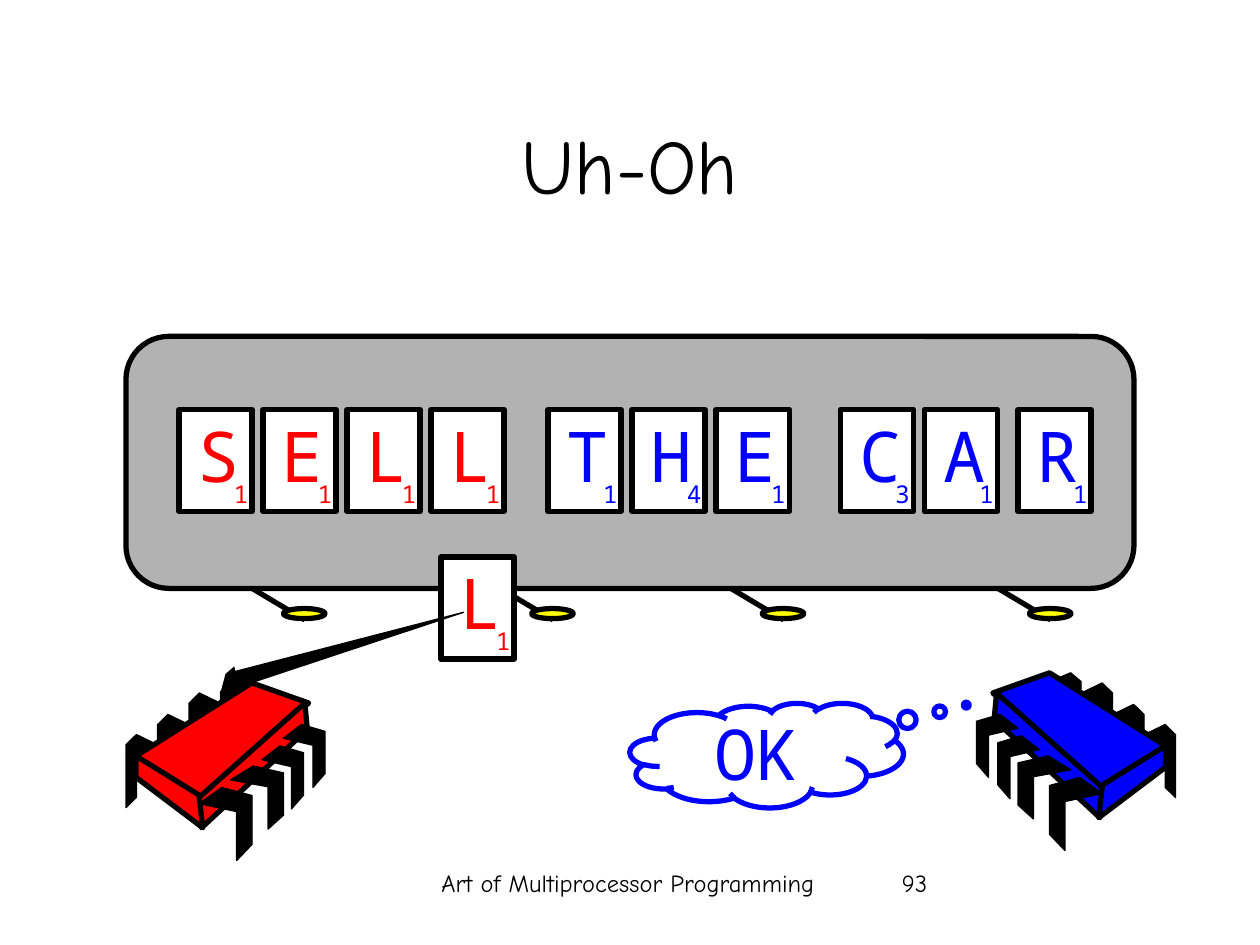
from dataclasses import dataclass

from pptx import Presentation
from pptx.dml.color import RGBColor
from pptx.enum.shapes import MSO_CONNECTOR, MSO_SHAPE
from pptx.enum.text import MSO_ANCHOR, PP_ALIGN
from pptx.oxml.ns import qn
from pptx.util import Inches, Pt
from lxml import etree

STRAIGHT = MSO_CONNECTOR.STRAIGHT
RECTANGLE, ROUNDED = MSO_SHAPE.RECTANGLE, MSO_SHAPE.ROUNDED_RECTANGLE
OVAL, CLOUD = MSO_SHAPE.OVAL, MSO_SHAPE.CLOUD_CALLOUT
LEFT, CENTER, RIGHT = PP_ALIGN.LEFT, PP_ALIGN.CENTER, PP_ALIGN.RIGHT
TOP, MIDDLE = MSO_ANCHOR.TOP, MSO_ANCHOR.MIDDLE

BLACK, WHITE = RGBColor(0, 0, 0), RGBColor(255, 255, 255)
RED, BLUE = RGBColor(255, 0, 0), RGBColor(0, 0, 255)
YELLOW, GRAY = RGBColor(255, 255, 0), RGBColor(0xB2, 0xB2, 0xB2)

HAND_FONT, TILE_FONT = "Comic Neue", "Noto Sans Mono"
THICK, THIN = 3, 0.75
TILE_STEP = 2 / 3
SCORES = {"H": 4, "C": 3}

Point = tuple[float, float]


@dataclass
class Word:
    letters: str
    left: float
    top: float
    color: RGBColor


@dataclass
class Leg:
    left: float
    top: float
    width: float
    height: float


@dataclass
class Chip:
    color: RGBColor
    mirrored: bool


WORDS = [
    Word("CA", 6.67, 3.25, BLUE),
    Word("R", 8.08, 3.25, BLUE),
    Word("THE", 4.35, 3.25, BLUE),
    Word("SELL", 1.42, 3.25, RED),
    Word("L", 3.5, 4.42, RED),
]
FOOT_LEFTS = [2, 3.97, 5.8, 7.92]

# Leg outlines as fractions of the leg's width and height
REAR_OUTLINE = [(1, 0.14), (0.33, 0), (0, 0.14), (0, 1), (0.33, 0.86), (0.33, 0.29), (1, 0.43)]
FRONT_OUTLINE = [(0.43, 0), (0, 0.22), (0.71, 0.33), (0.71, 1), (1, 0.78), (1, 0.11)]
REAR_LEGS = [
    Leg(1, 5.83, 0.25, 0.58), Leg(1.25, 5.67, 0.25, 0.58),
    Leg(1.5, 5.5, 0.25, 0.58), Leg(1.75, 5.42, 0.25, 0.5),
]
FRONT_LEGS = [
    Leg(1.58, 6.25, 0.42, 0.58), Leg(1.83, 6.08, 0.42, 0.5),
    Leg(2.08, 5.92, 0.33, 0.5), Leg(2.25, 5.75, 0.33, 0.5),
]
BODY_FACES = [
    [(2, 5.42), (1.08, 6), (1.6, 6.35), (2.45, 5.58)],
    [(2.42, 5.58), (1.58, 6.33), (1.6, 6.57), (2.44, 5.79)],
    [(1.08, 6), (1.08, 6.17), (1.61, 6.57), (1.58, 6.31)],
]


def paint(shape, fill: RGBColor | None, line: RGBColor, weight: float) -> None:
    shape.shadow.inherit = False
    if fill is None:
        shape.fill.background()
    else:
        shape.fill.solid()
        shape.fill.fore_color.rgb = fill
    shape.line.color.rgb = line
    shape.line.width = Pt(weight)


def write(shape, text: str, size: float, font: str, color: RGBColor,
          align=CENTER, anchor=TOP, wrap: bool = True) -> None:
    frame = shape.text_frame
    for name, value in {"word_wrap": wrap, "vertical_anchor": anchor}.items():
        setattr(frame, name, value)
    para = frame.paragraphs[0]
    para.alignment = align
    span = para.add_run()
    span.text = text
    for name, value in {"size": Pt(size), "name": font}.items():
        setattr(span.font, name, value)
    span.font.color.rgb = color


def add_label(page, left: float, top: float, width: float, height: float,
              text: str, size: float, font: str, color: RGBColor, **layout) -> None:
    box = page.shapes.add_textbox(Inches(left), Inches(top), Inches(width), Inches(height))
    write(box, text, size, font, color, **layout)


def add_preset(page, kind, left: float, top: float, width: float, height: float,
               fill: RGBColor | None, line: RGBColor = BLACK):
    shape = page.shapes.add_shape(kind, Inches(left), Inches(top), Inches(width), Inches(height))
    paint(shape, fill, line, THICK)
    return shape


def add_outline(page, points: list[Point], fill: RGBColor, weight: float, close: bool = True):
    corners = [(Inches(x), Inches(y)) for x, y in points]
    builder = page.shapes.build_freeform(*corners[0])
    builder.add_line_segments(corners[1:], close=close)
    shape = builder.convert_to_shape()
    paint(shape, fill, BLACK, weight)
    return shape


def add_foot(page, left: float) -> None:
    strut = page.shapes.add_connector(
        STRAIGHT, Inches(left), Inches(4.67), Inches(left + 0.42), Inches(4.92))
    strut.line.color.rgb = BLACK
    strut.line.width = Pt(THICK)
    etree.SubElement(strut._element.spPr, qn("a:effectLst"))
    add_preset(page, OVAL, left + 0.25, 4.83, 0.33, 0.08, YELLOW)


def add_tile(page, letter: str, left: float, top: float, color: RGBColor) -> None:
    tile = add_preset(page, RECTANGLE, left, top, 0.58, 0.81, WHITE)
    tile.text_frame.margin_top = tile.text_frame.margin_bottom = Inches(0.02)
    write(tile, letter, 40, TILE_FONT, color, align=RIGHT)
    add_label(page, left + 0.33, top + 0.5, 0.32, 0.33, str(SCORES.get(letter, 1)),
              14, TILE_FONT, color, align=RIGHT, wrap=False)


def add_chip(page, chip: Chip) -> None:
    """Draw rear legs, body, then front legs; the mirrored chip faces left."""
    def place(points: list[Point]) -> list[Point]:
        return [(10.33 - x, y - 0.08) for x, y in points] if chip.mirrored else points

    def add_legs(legs: list[Leg], outline: list[Point]) -> None:
        for leg in legs:
            points = [(leg.left + x * leg.width, leg.top + y * leg.height) for x, y in outline]
            add_outline(page, place(points), BLACK, THIN)

    add_legs(REAR_LEGS, REAR_OUTLINE)
    for face in BODY_FACES:
        add_outline(page, place(face), chip.color, THICK)
    add_legs(FRONT_LEGS, FRONT_OUTLINE)


def main() -> None:
    deck = Presentation()
    deck.slide_width, deck.slide_height = Inches(10), Inches(7.5)
    page = deck.slides.add_slide(deck.slide_layouts[6])

    add_label(page, 3.4, 6.84, 3.17, 0.5, "Art of Multiprocessor Programming",
              14, HAND_FONT, BLACK)
    add_label(page, 7.06, 6.84, 2.08, 0.5, "93", 14, HAND_FONT, BLACK, align=LEFT)
    add_label(page, 0.75, 0.67, 8.5, 1.25, "Uh-Oh", 44, HAND_FONT, BLACK, anchor=MIDDLE)

    board = add_preset(page, ROUNDED, 1, 2.67, 8, 2, GRAY)
    board.adjustments[0] = 0.17
    for left in FOOT_LEFTS:
        add_foot(page, left)

    add_chip(page, Chip(RED, mirrored=False))
    for word in WORDS:
        for index, letter in enumerate(word.letters):
            add_tile(page, letter, word.left + index * TILE_STEP, word.top, word.color)
    add_chip(page, Chip(BLUE, mirrored=True))

    thought = add_preset(page, CLOUD, 5, 5.58, 2.17, 0.83, None, BLUE)
    thought.adjustments[0], thought.adjustments[1] = 0.73, -0.48
    write(thought, "OK", 40, TILE_FONT, BLUE, anchor=MIDDLE)

    arm = add_outline(page, [(1.75, 5.5), (3.68, 4.86), (1.79, 5.35)], BLACK, THIN, close=False)
    etree.SubElement(arm.line._get_or_add_ln(), qn("a:tailEnd"), type="triangle")

    deck.save("out.pptx")


if __name__ == "__main__":
    main()
